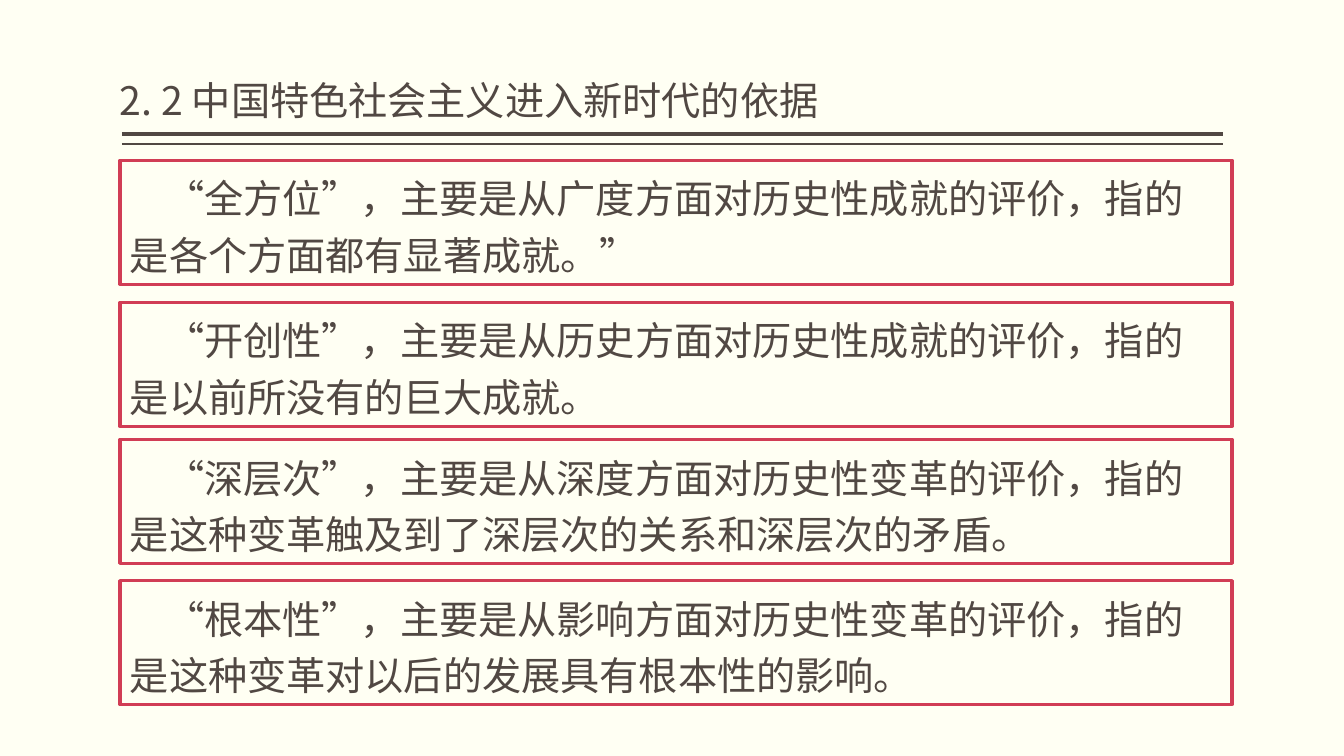
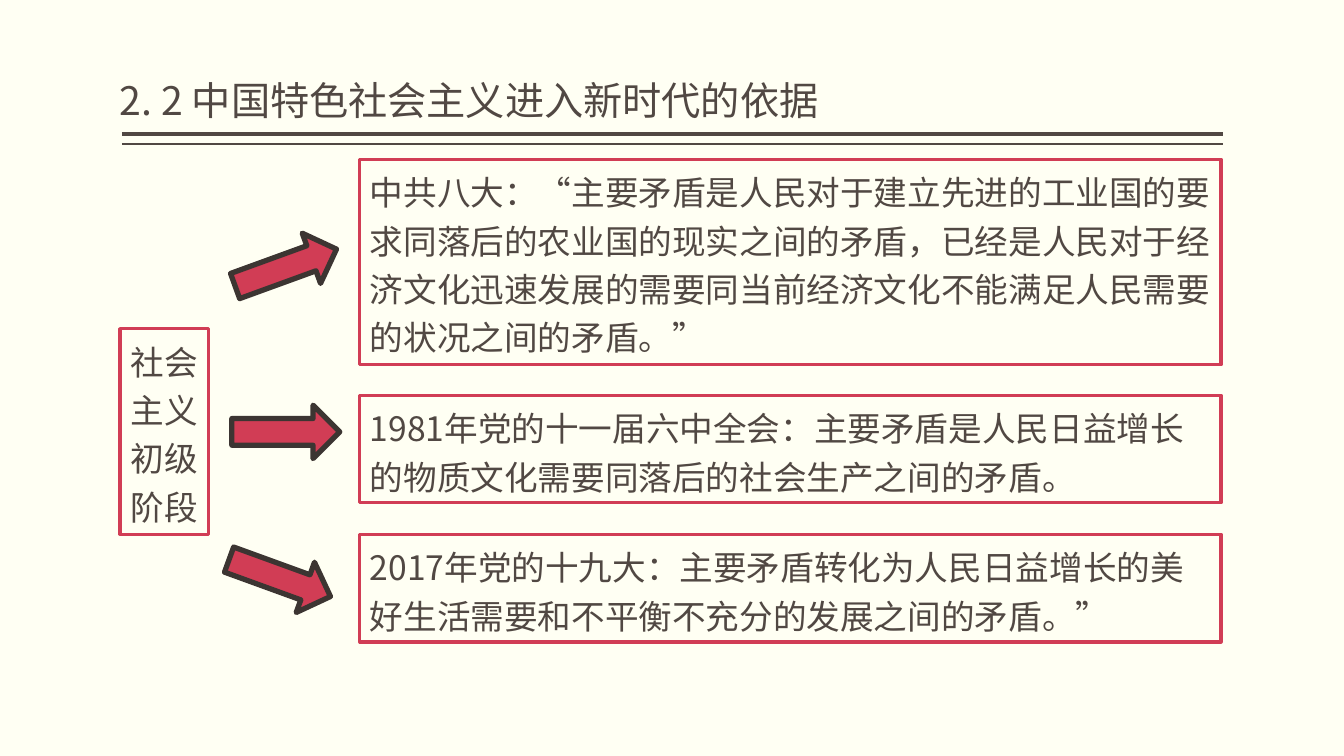
"""Build two slides on the grounds for the new era and its principal contradiction."""
from dataclasses import dataclass

from lxml import etree
from pptx import Presentation
from pptx import util as u
from pptx.dml.color import RGBColor
from pptx.enum import shapes, text
from pptx.oxml import ns


@dataclass(frozen=True)
class Theme:
    paper: RGBColor = RGBColor.from_string("FFFFF3")
    ink: RGBColor = RGBColor.from_string("514843")
    accent: RGBColor = RGBColor.from_string("D13D55")
    arrow_edge: RGBColor = RGBColor.from_string("3C3532")
    font: str = "Noto Sans CJK SC"
    large: int = 28
    medium: int = 24
    border: float = 2.25
    arrow_border: float = 3.78


@dataclass(frozen=True)
class Panel:
    left: float
    top: float
    width: float
    height: float
    words: str
    size: int
    indent: float = 0
    align: text.PP_ALIGN = text.PP_ALIGN.LEFT


@dataclass(frozen=True)
class Arrow:
    left: float
    top: float
    rotation: float = 0


THEME = Theme()
HEADING = "2. 2 中国特色社会主义进入新时代的依据"
MARGIN = 1.19
HEADING_RULES = ((1.33, 3), (1.43, 1))
PANEL_FRAME = {
    "word_wrap": True,
    "auto_size": text.MSO_AUTO_SIZE.SHAPE_TO_FIT_TEXT,
    "vertical_anchor": text.MSO_ANCHOR.TOP,
}
HEADING_FRAME = {
    "word_wrap": True,
    "auto_size": text.MSO_AUTO_SIZE.NONE,
    "vertical_anchor": text.MSO_ANCHOR.BOTTOM,
    "margin_left": 0,
    "margin_right": 0,
}
JUDGEMENTS = (
    (1.59, "“全方位”，主要是从广度方面对历史性成就的评价，指的是各个方面都有显著成就。”"),
    (3, "“开创性”，主要是从历史方面对历史性成就的评价，指的是以前所没有的巨大成就。"),
    (4.36, "“深层次”，主要是从深度方面对历史性变革的评价，指的是这种变革触及到了深层次的关系和深层次的矛盾。"),
    (5.76, "“根本性”，主要是从影响方面对历史性变革的评价，指的是这种变革对以后的发展具有根本性的影响。"),
)
STAGE = Panel(MARGIN, 3.26, 0.88, 2.04, "社会主义初级阶段", THEME.medium,
              align=text.PP_ALIGN.CENTER)
CONTRADICTIONS = (
    (1.58, 2.04, "中共八大：“主要矛盾是人民对于建立先进的工业国的要求同落后的农业国的现实之间的矛盾，"
                 "已经是人民对于经济文化迅速发展的需要同当前经济文化不能满足人民需要的状况之间的矛盾。”"),
    (3.92, 1.07, "1981年党的十一届六中全会：主要矛盾是人民日益增长的物质文化需要同落后的社会生产之间的矛盾。"),
    (5.3, 1.07, "2017年党的十九大：主要矛盾转化为人民日益增长的美好生活需要和不平衡不充分的发展之间的矛盾。”"),
)
ARROWS = (Arrow(2.3, 2.39, 340), Arrow(2.3, 4.02), Arrow(2.24, 5.47, 20))


def apply_format(target, values: dict) -> None:
    """Set each named attribute on the target."""
    for name, value in values.items():
        setattr(target, name, value)


def write(frame, words: str, size: int, spacing: float, align, indent: float = 0) -> None:
    """Put one styled paragraph into a text frame."""
    paragraph = frame.paragraphs[0]
    apply_format(paragraph, {"line_spacing": spacing, "alignment": align})
    if indent:
        paragraph._p.get_or_add_pPr().set("indent", str(u.Inches(indent)))
    run = paragraph.add_run()
    run.text = words
    apply_format(run.font, {"size": u.Pt(size), "name": THEME.font})
    run.font.color.rgb = THEME.ink
    properties = run._r.get_or_add_rPr()
    properties.set("lang", "zh-CN")
    east_asian = etree.SubElement(properties, ns.qn("a:ea"))
    east_asian.set("typeface", THEME.font)


def add_heading_slide(deck):
    """Add a slide with the shared heading and its double rule."""
    slide = deck.slides.add_slide(deck.slide_layouts.get_by_name("Title Only"))
    for top, weight in HEADING_RULES:
        rule = slide.shapes.add_connector(
            shapes.MSO_CONNECTOR.STRAIGHT,
            u.Inches(1.21), u.Inches(top), u.Inches(12.13), u.Inches(top))
        rule.line.color.rgb = THEME.ink
        rule.line.width = u.Pt(weight)
        etree.SubElement(rule._element.spPr, ns.qn("a:effectLst"))
    heading = slide.shapes.title
    apply_format(heading, {"left": u.Inches(MARGIN), "top": u.Inches(0.08),
                           "width": u.Inches(10.92), "height": u.Inches(1.2)})
    apply_format(heading.text_frame, HEADING_FRAME)
    write(heading.text_frame, HEADING, THEME.large, 0.9, text.PP_ALIGN.LEFT)
    return slide


def add_panel(slide, panel: Panel) -> None:
    """Draw an outlined box holding one paragraph."""
    box = slide.shapes.add_shape(
        shapes.MSO_SHAPE.RECTANGLE, u.Inches(panel.left), u.Inches(panel.top),
        u.Inches(panel.width), u.Inches(panel.height))
    box.shadow.inherit = False
    box.fill.background()
    box.line.color.rgb = THEME.accent
    box.line.width = u.Pt(THEME.border)
    apply_format(box.text_frame, PANEL_FRAME)
    write(box.text_frame, panel.words, panel.size, 1.2, panel.align, panel.indent)


def add_arrow(slide, arrow: Arrow) -> None:
    """Draw a block arrow leading from the stage to a contradiction."""
    pointer = slide.shapes.add_shape(
        shapes.MSO_SHAPE.RIGHT_ARROW, u.Inches(arrow.left), u.Inches(arrow.top),
        u.Inches(1.07), u.Inches(0.53))
    pointer.rotation = arrow.rotation
    pointer.shadow.inherit = False
    pointer.fill.solid()
    pointer.fill.fore_color.rgb = THEME.accent
    pointer.line.color.rgb = THEME.arrow_edge
    pointer.line.width = u.Pt(THEME.arrow_border)


def main() -> None:
    """Assemble and save the deck."""
    deck = Presentation()
    apply_format(deck, {"slide_width": u.Inches(13.33), "slide_height": u.Inches(7.5)})
    backdrop = deck.slide_master.background.fill
    backdrop.solid()
    backdrop.fore_color.rgb = THEME.paper

    judgement_slide = add_heading_slide(deck)
    for top, words in JUDGEMENTS:
        add_panel(judgement_slide,
                  Panel(MARGIN, top, 11.03, 1.23, words, THEME.large, indent=0.35))

    contradiction_slide = add_heading_slide(deck)
    add_panel(contradiction_slide, STAGE)
    for arrow in ARROWS:
        add_arrow(contradiction_slide, arrow)
    for top, height, words in CONTRADICTIONS:
        add_panel(contradiction_slide, Panel(3.57, top, 8.54, height, words, THEME.medium))

    deck.save("out.pptx")


if __name__ == "__main__":
    main()
